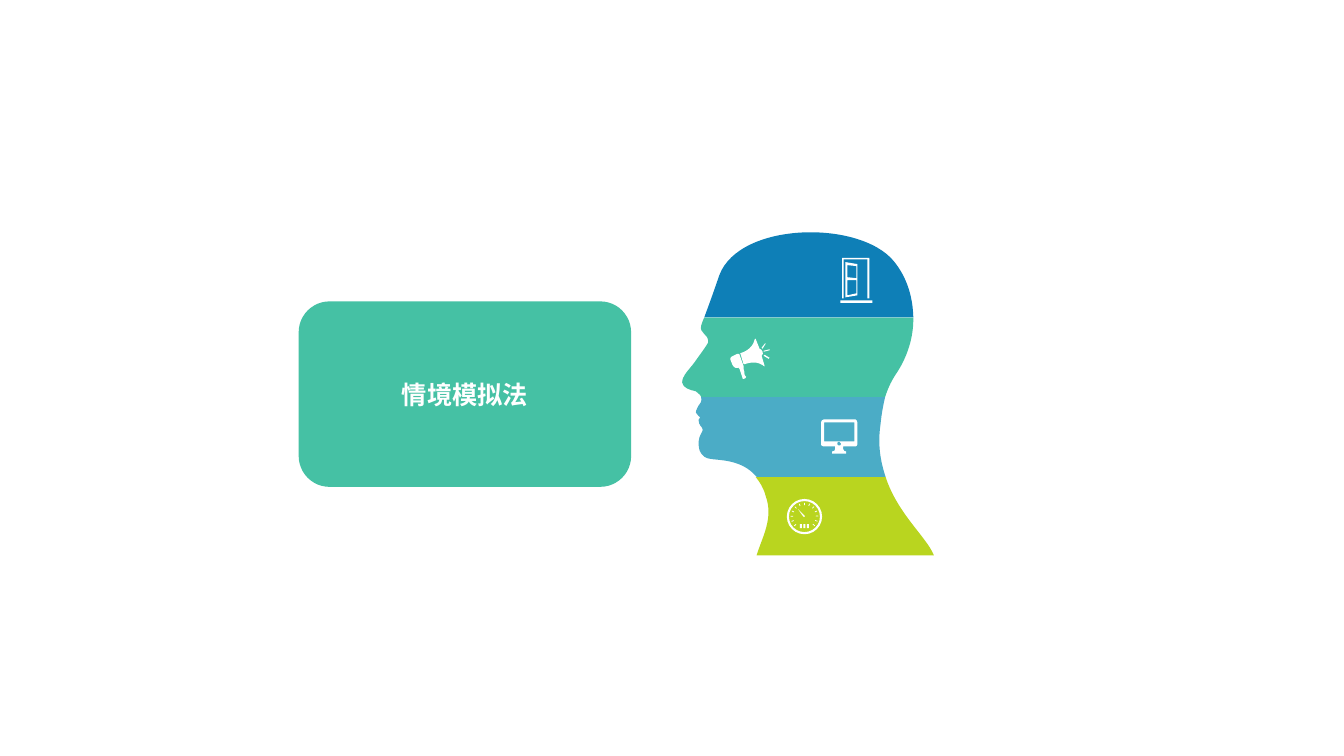
from lxml import etree
from pptx import Presentation
from pptx.dml.color import RGBColor
from pptx.enum.shapes import MSO_SHAPE
from pptx.enum.text import MSO_ANCHOR, PP_ALIGN
from pptx.oxml.ns import qn
from pptx.util import Inches, Pt
from math import cos, radians, sin

RECTANGLE = MSO_SHAPE.RECTANGLE
ROUNDED = MSO_SHAPE.ROUNDED_RECTANGLE
DONUT = MSO_SHAPE.DONUT
MIDDLE = MSO_ANCHOR.MIDDLE
CENTER = PP_ALIGN.CENTER

WHITE = RGBColor(0xFF, 0xFF, 0xFF)
BLUE = RGBColor(0x0E, 0x7F, 0xB7)
GREEN = RGBColor(0x45, 0xC1, 0xA4)
SKY = RGBColor(0x4B, 0xAC, 0xC6)
LIME = RGBColor(0xB9, 0xD5, 0x1F)
FONT = "Noto Sans CJK SC"

# The slide is a grid of 1334 columns by 750 rows
CELL = Inches(0.01)
COLUMNS, ROWS = 1334, 750
BROW, MOUTH, CHIN, BASE = 315, 394, 473, 551  # edges of the head bands

presentation = Presentation()
presentation.slide_width = COLUMNS * CELL
presentation.slide_height = ROWS * CELL
slide = presentation.slides.add_slide(presentation.slide_layouts[6])
head = slide.shapes.add_group_shape()


def add_outline(color, *contours):
    """Draw contours: pairs are straight steps, six numbers are a Bezier curve."""
    builder = None
    for start, *steps in contours:
        x, y = (n * CELL for n in start)
        if builder is None:
            builder = head.shapes.build_freeform(x, y, scale=1.0)
        else:
            builder.move_to(x, y)
        numbers = [n * CELL for step in steps for n in step]
        builder.add_line_segments(list(zip(numbers[::2], numbers[1::2])), close=True)
    shape = builder.convert_to_shape()
    shape.shadow.inherit = False
    shape.fill.solid()
    shape.fill.fore_color.rgb = color
    shape.line.fill.background()

    # Join each run of three points that belongs to a curve
    segments = iter(list(shape._element.iter(qn("a:lnTo"))))
    for contour in contours:
        for step in contour[1:]:
            segment = next(segments)
            if len(step) == 6:
                segment.addprevious(curve := etree.Element(qn("a:cubicBezTo")))
                for part in (segment, next(segments), next(segments)):
                    curve.append(part[0])
                    part.getparent().remove(part)


def add_preset(shapes, preset, color, left, top, width, height):
    shape = shapes.add_shape(preset, *(round(n * CELL) for n in (left, top, width, height)))
    shape.shadow.inherit = False
    shape.fill.solid()
    shape.fill.fore_color.rgb = color
    shape.line.fill.background()
    return shape


# Head bands: neck, forehead, nose, jaw
add_outline(LIME, [
    (879, CHIN), (891, 510, 920, 533, 927, BASE), (751, BASE),
    (757, 532, 768, 514, 760, 492), (758, 484, 754, 478, 750, CHIN)])
add_outline(BLUE, [
    (699, BROW), (703, 304, 704, 302, 714, 273), (734, 220, 853, 218, 887, 259),
    (901, 276, 906, 296, 906.5, BROW)])
add_outline(GREEN, [
    (696, MOUTH), (696, 393, 695, 392, 694, 391), (692, 388, 690, 388, 686, 387),
    (680, 385, 675, 382, 678, 375), (681, 369, 682, 369, 689, 360),
    (696, 350, 703, 341, 703, 339), (703, 331, 694, 331, 696, 323),
    (697, 320, 698, 317, 699, BROW), (906.5, BROW),
    (907, 335, 900, 355, 890, 370), (886, 376, 882, 383, 878.5, MOUTH)])
add_outline(SKY, [
    (874, 421), (871, 441, 874, 458, 879, CHIN), (751, CHIN),
    (736, 455, 713, 457, 704, 455), (697, 454, 694, 447, 694, 445),
    (693, 441, 693, 435, 696, 430), (700, 424, 695, 424, 694, 420),
    (692, 418, 694, 415, 695, 414), (696, 414, 694, 414, 692, 411),
    (689, 409, 692, 406, 693, 403), (695, 401, 697, 398, 696, MOUTH),
    (878.5, MOUTH), (877, 401, 875, 410, 874, 421)])

# Megaphone: grip, horn, sound rays
add_outline(WHITE, [
    (738, 366), (738, 366, 738, 364, 738, 363), (734, 352), (734, 352, 734, 350, 732, 351),
    (728, 353), (728, 353, 724, 354, 725, 357), (727, 362),
    (727, 362, 729, 366, 732, 365), (732, 365, 733, 364, 734, 366), (737, 375),
    (737, 375, 737, 377, 738, 376), (738, 376, 743, 375, 739, 372),
    (740, 370, 738, 368, 738, 366)])
add_outline(WHITE, [
    (756, 353), (757, 352, 758, 350, 757, 349), (756, 347, 755, 346, 754, 346),
    (750, 336), (750, 335, 749, 337, 749, 337), (747, 347, 736, 350, 736, 350),
    (734, 350, 735, 351, 735, 351), (738, 361), (739, 362, 740, 361, 740, 361),
    (752, 357, 758, 363, 758, 363), (758, 363, 760, 364, 759, 363)])
for ray in ([(760, 341), (759.5, 340.5), (756, 345), (757, 346)],
            [(758, 353), (763, 356), (764, 355), (759, 352)],
            [(758, 349), (764, 347.5), (764, 346.5), (758, 348)]):
    add_outline(WHITE, ray)

# Monitor with its lamp and screen cut out
add_outline(
    WHITE,
    [(849, 416), (818, 416), (816, 416, 815, 418, 815, 419), (815, 441),
     (815, 442, 816, 443, 818, 443), (829, 443), (829, 443, 830, 448, 826, 448),
     (826, 450), (840, 450), (840, 448), (836, 448, 837, 443, 837, 443), (849, 443),
     (850, 443, 851, 442, 851, 441), (851, 419), (851, 418, 850, 416, 849, 416)],
    [(831, 440), (831, 439, 832, 438, 833, 438), (834, 438, 835, 439, 835, 440),
     (835, 442, 834, 442, 833, 442), (832, 442, 831, 442, 831, 440)],
    [(848, 438), (818, 438), (818, 419), (848, 419)])

# Door: frame, sill, open leaf with two panes
for left, top, width, height in ((836, 257, 1.5, 39), (836, 256, 27, 1.5),
                                 (861, 257, 2, 39), (834, 298, 32, 2.5)):
    add_preset(head.shapes, RECTANGLE, WHITE, left, top, width, height)
add_outline(WHITE,
            [(839, 260), (839, 295), (851, 293), (851, 262)],
            [(841, 263), (850, 264), (850, 276), (841, 275)],
            [(850, 291), (841, 293), (841, 278), (850, 278)])

# Gauge: rim, counter, needle, ticks around the centre
center_x, center_y, rim = 798.5, 512.5, 17.5
ring = add_preset(head.shapes, DONUT, WHITE, center_x - rim, center_y - rim, 2 * rim, 2 * rim)
ring.adjustments[0] = 0.06
for column in (-1, 0, 1):
    add_preset(head.shapes, RECTANGLE, WHITE, center_x - 1 + 3.5 * column, 520, 2, 4)
add_outline(WHITE, [
    (797, 512), (797, 512, 798, 513, 798, 513), (799, 513, 799, 512, 799, 512),
    (799, 511, 799, 511, 798, 511), (792, 505)])
for tick in range(-6, 7):
    angle = 22 * tick
    x = center_x + 12.5 * sin(radians(angle))
    y = center_y - 12.5 * cos(radians(angle))
    mark = add_preset(head.shapes, RECTANGLE, WHITE, x - 0.4, y - 1.2, 0.8, 2.4)
    mark.rotation = angle

# Title card
card = add_preset(slide.shapes, ROUNDED, GREEN, 296.5, 299, 330, 184)
card.text_frame.word_wrap = True
card.text_frame.vertical_anchor = MIDDLE
paragraph = card.text_frame.paragraphs[0]
paragraph.alignment = CENTER
run = paragraph.add_run()
run.text = "情境模拟法"
run.font.size = Pt(18)
run.font.bold = True
run.font.name = FONT
run.font.color.rgb = WHITE
etree.SubElement(run.font._element, qn("a:ea")).set("typeface", FONT)

presentation.save("out.pptx")
